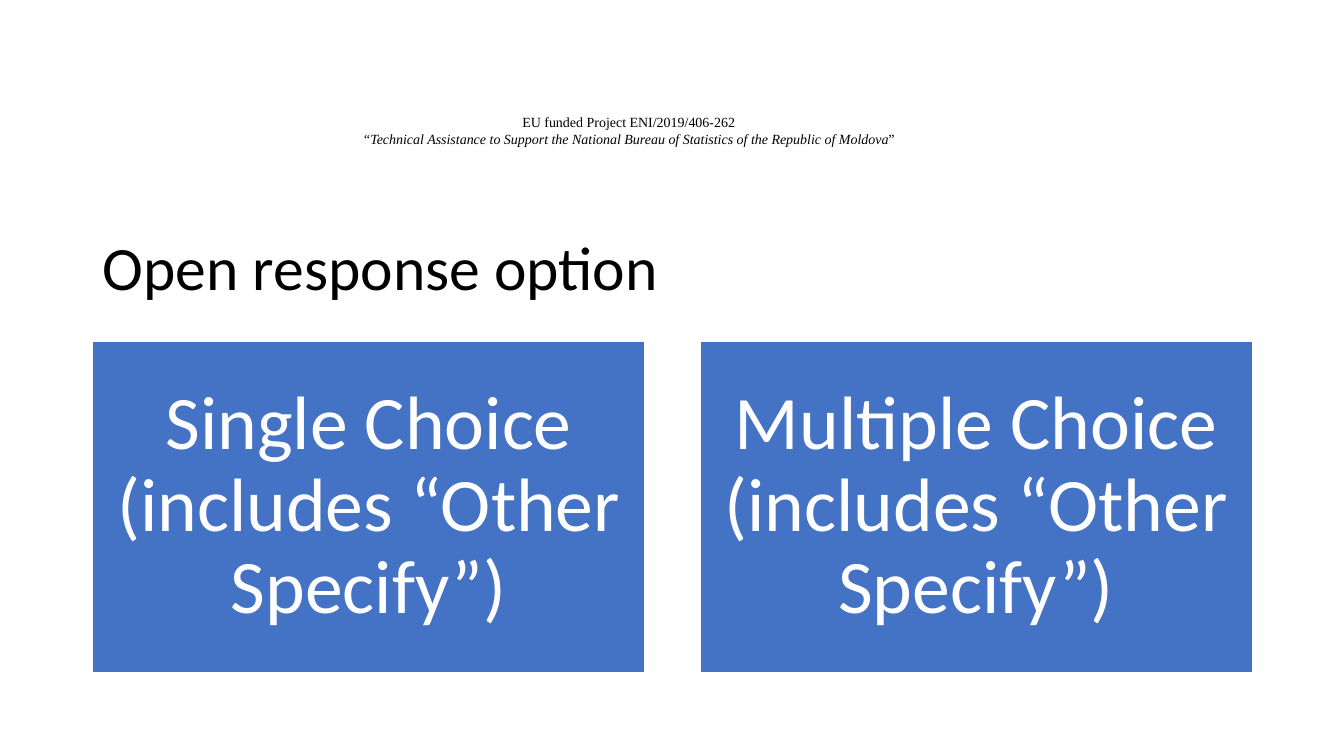
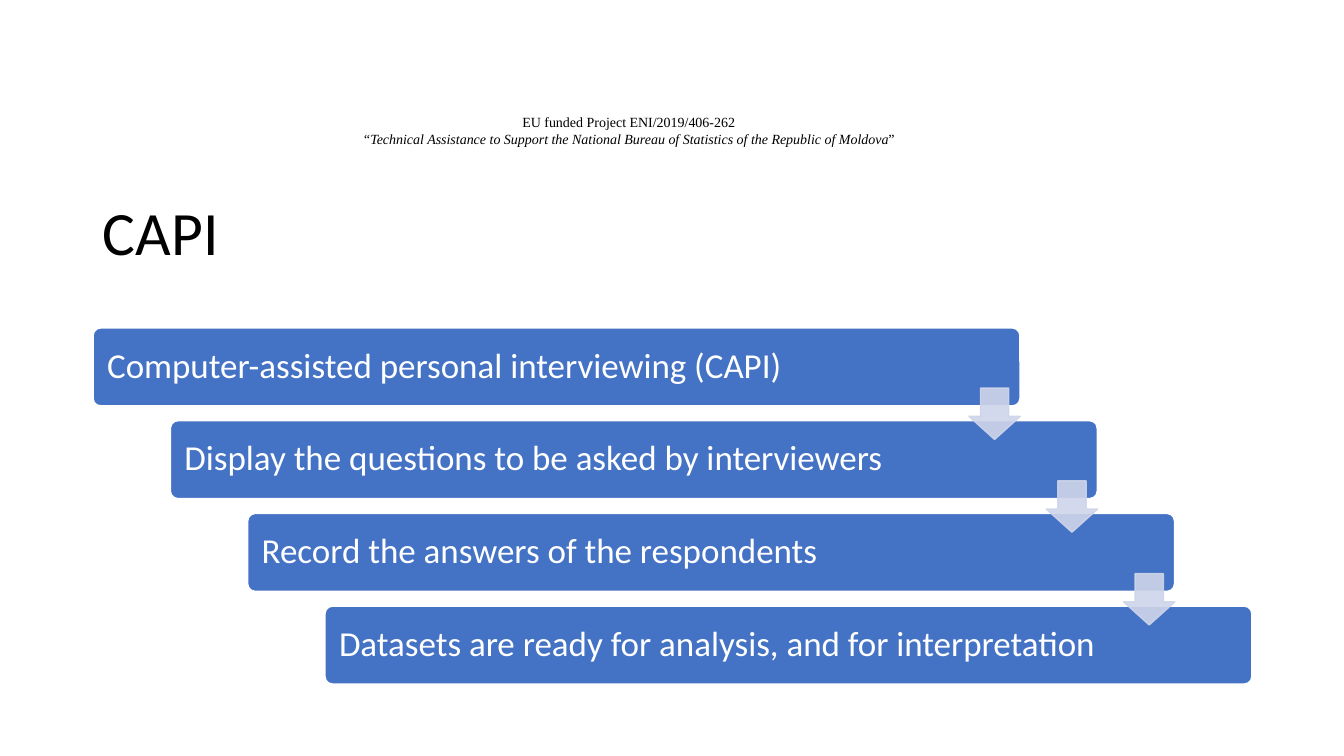
from lxml.etree import SubElement
from pptx import Presentation
from pptx.dml.color import RGBColor
from pptx.enum.shapes import MSO_SHAPE as Preset
from pptx.enum.text import MSO_ANCHOR as Anchor, MSO_AUTO_SIZE as AutoSize, PP_ALIGN as Align
from pptx.oxml.ns import qn
from pptx.util import Inches, Pt

BLACK = RGBColor(0x00, 0x00, 0x00)
WHITE = RGBColor(0xFF, 0xFF, 0xFF)
BLUE = RGBColor(0x44, 0x72, 0xC4)
PALE_BLUE = RGBColor(0xCF, 0xD5, 0xEA)
BODY_FONT = "Calibri"
HEADER_FONT = "Times New Roman"

SLIDE_WIDTH, SLIDE_HEIGHT = 13.33, 7.5
MARGIN = 0.92
CONTENT_WIDTH = 11.5

CHOICES = ["Single Choice (includes “Other Specify”)", "Multiple Choice (includes “Other Specify”)"]
STEPS = [
    "Computer-assisted personal interviewing (CAPI)",
    "Display the questions to be asked by interviewers",
    "Record the answers of the respondents",
    "Datasets are ready for analysis, and for interpretation",
]


def set_font(para, name, size, color):
    """Format a whole paragraph."""
    para.font.name = name
    para.font.size = Pt(size)
    para.font.color.rgb = color


def add_header(page):
    """Add the project name that heads every slide."""
    box = page.shapes.add_textbox(Inches(2.9), Inches(1.08), Inches(6.67), Inches(0.44))
    frame = box.text_frame
    frame.word_wrap = True
    frame.text = "EU funded Project ENI/2019/406-262"
    project = frame.add_paragraph()
    name = project.add_run()
    name.text = "“Technical Assistance to Support the National Bureau of Statistics of the Republic of Moldova"
    name.font.italic = True
    project.add_run().text = "”"
    for para in frame.paragraphs:
        para.alignment = Align.CENTER
        set_font(para, HEADER_FONT, 10, BLACK)


def add_page(deck, title, anchor):
    """Add a slide with the shared header and a title."""
    page = deck.slides.add_slide(deck.slide_layouts.get_by_name("Title Only"))
    add_header(page)
    holder = page.shapes.title
    holder.left, holder.top = Inches(MARGIN), Inches(1.61)
    holder.width, holder.height = Inches(CONTENT_WIDTH), Inches(1.45)
    frame = holder.text_frame
    frame.text = title
    frame.auto_size = AutoSize.NONE
    frame.vertical_anchor = anchor
    para = frame.paragraphs[0]
    para.alignment = Align.LEFT
    para.line_spacing = 0.9
    set_font(para, BODY_FONT, 44, BLACK)
    return page


def add_block(page, preset, left, top, width, height, fill, line, line_width):
    """Add a filled and outlined preset shape."""
    block = page.shapes.add_shape(preset, Inches(left), Inches(top), Inches(width), Inches(height))
    block.shadow.inherit = False
    block.fill.solid()
    block.fill.fore_color.rgb = fill
    block.line.color.rgb = line
    block.line.width = Pt(line_width)
    return block


def write_label(block, text, size, align, inset):
    """Write white text into a block."""
    frame = block.text_frame
    frame.word_wrap = True
    frame.vertical_anchor = Anchor.MIDDLE
    frame.margin_left = frame.margin_right = Inches(inset)
    frame.margin_top = frame.margin_bottom = Inches(inset)
    frame.text = text
    para = frame.paragraphs[0]
    para.alignment = align
    para.line_spacing = 0.9
    set_font(para, BODY_FONT, size, WHITE)


def add_choices(page, choices):
    """Set out the choices as equal columns."""
    gap = 0.55
    width = (CONTENT_WIDTH - gap * (len(choices) - 1)) / len(choices)
    for column, text in enumerate(choices):
        left = MARGIN + column * (width + gap)
        card = add_block(page, Preset.RECTANGLE, left, 3.39, width, 3.28, BLUE, WHITE, 1)
        write_label(card, text, 54, Align.CENTER, 0.23)


def add_arrow(page, left, top, size):
    """Add a slightly transparent down arrow."""
    arrow = add_block(page, Preset.DOWN_ARROW, left, top, size, size, PALE_BLUE, PALE_BLUE, 1)
    arrow.adjustments[0], arrow.adjustments[1] = 0.55, 0.45
    for color in arrow.element.spPr.iter(qn("a:srgbClr")):
        SubElement(color, qn("a:alpha"), val="90000")


def add_staircase(page, steps):
    """Set out the steps as a descending staircase joined by arrows."""
    width, height, arrow_size = CONTENT_WIDTH * 0.8, 0.78, 0.51
    shift = (CONTENT_WIDTH - width) / (len(steps) - 1)
    corners = [(MARGIN + row * shift, 3.25 + row * 0.92) for row in range(len(steps))]
    for text, (left, top) in zip(steps, corners):
        bar = add_block(page, Preset.ROUNDED_RECTANGLE, left, top, width, height, BLUE, WHITE, 1.5)
        bar.adjustments[0] = 0.1
        write_label(bar, text, 25, Align.LEFT, 0.12)
    for left, top in corners[:-1]:
        add_arrow(page, left + width - arrow_size, top + 0.6, arrow_size)


def main():
    """Build and save the deck."""
    deck = Presentation()
    deck.slide_width, deck.slide_height = Inches(SLIDE_WIDTH), Inches(SLIDE_HEIGHT)
    add_choices(add_page(deck, "Open response option", Anchor.BOTTOM), CHOICES)
    add_staircase(add_page(deck, "CAPI", Anchor.MIDDLE), STEPS)
    deck.save("out.pptx")


if __name__ == "__main__":
    main()
